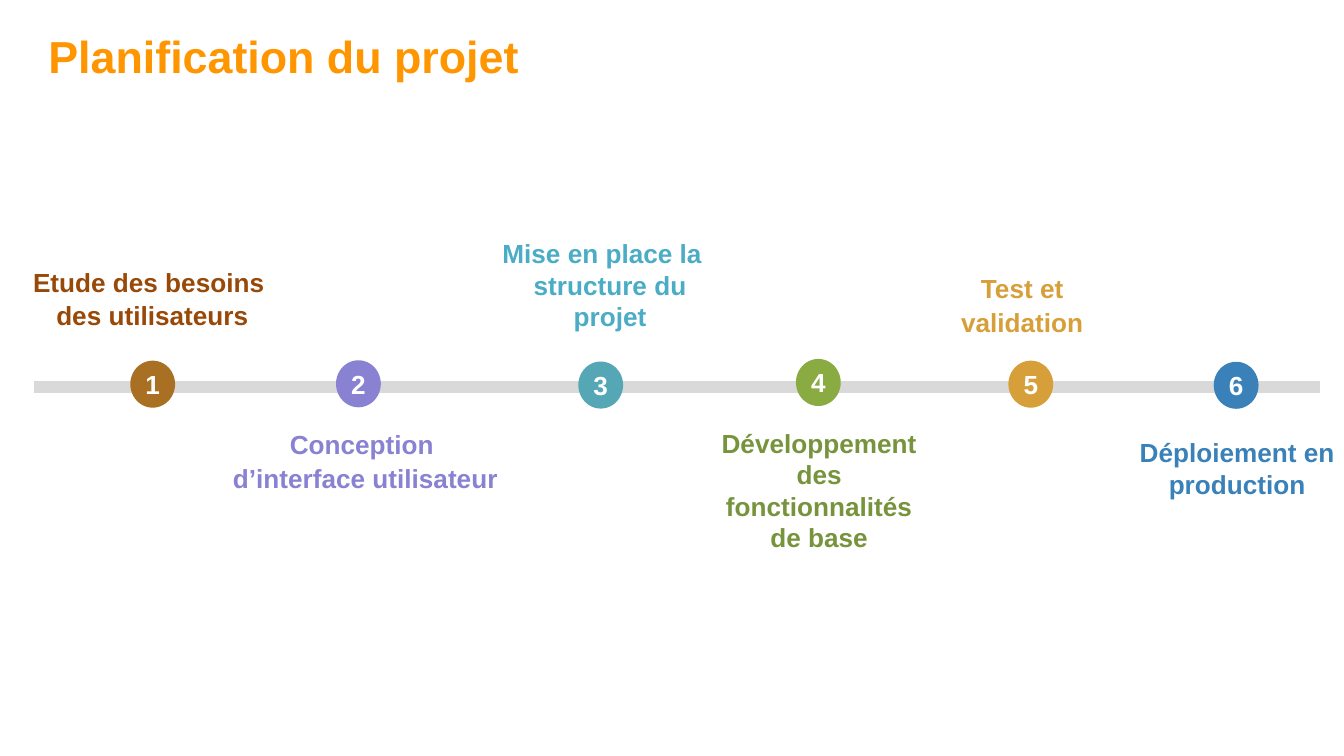
import pptx
import pptx.util
import pptx.dml.color
import pptx.enum.shapes
import pptx.enum.text
import pptx.oxml.ns
import lxml.etree

Pt = pptx.util.Pt
ALIGN = pptx.enum.text.PP_ALIGN
ANCHOR = pptx.enum.text.MSO_ANCHOR


def color(hexa):
    return pptx.dml.color.RGBColor.from_string(hexa)


def write(frame, text, *, size=14, tint="FFFFFF", align=ALIGN.CENTER,
          anchor=ANCHOR.TOP, inset=0.7, before=1, left=0.7, hang=0):
    """Fill a text frame with one paragraph per line of text."""
    frame.word_wrap = True
    frame.vertical_anchor = anchor
    frame.margin_left = frame.margin_right = frame.margin_bottom = 0
    frame.margin_top = Pt(inset)
    for i, line in enumerate(text.split("\n")):
        para = frame.paragraphs[0] if i == 0 else frame.add_paragraph()
        para.alignment = align
        para.space_before = Pt(before)
        props = para._p.get_or_add_pPr()
        props.set("marL", str(Pt(left)))
        props.set("indent", str(Pt(-hang)))
        run = para.add_run()
        run.text = line
        run.font.name = "Arial"
        run.font.size = Pt(size)
        run.font.bold = True
        run.font.color.rgb = color(tint)


class Board:
    def __init__(self, deck):
        self.slide = deck.slides.add_slide(deck.slide_layouts[5])
        self.shapes = self.slide.shapes

    def title(self, text, x, y, w, h):
        box = self.shapes.title
        box.left, box.top, box.width, box.height = map(Pt, (x, y, w, h))
        write(box.text_frame, text, size=24, tint="FF9600", align=ALIGN.LEFT)

    def axis(self, x1, x2, y):
        line = self.shapes.add_connector(
            pptx.enum.shapes.MSO_CONNECTOR.STRAIGHT, Pt(x1), Pt(y), Pt(x2), Pt(y))
        line.line.color.rgb = color("D9D9D9")
        line.line.width = Pt(6)
        lxml.etree.SubElement(line._element.spPr, pptx.oxml.ns.qn("a:effectLst"))

    def dot(self, text, x, y, fill):
        disc = self.shapes.add_shape(
            pptx.enum.shapes.MSO_SHAPE.OVAL, Pt(x), Pt(y), Pt(24), Pt(25.2))
        disc.shadow.inherit = False
        disc.fill.solid()
        disc.fill.fore_color.rgb = color(fill)
        disc.line.fill.background()
        write(disc.text_frame, text, anchor=ANCHOR.MIDDLE,
              inset=0, before=0, left=0)

    def label(self, text, x, y, w, h, tint, **style):
        box = self.shapes.add_textbox(Pt(x), Pt(y), Pt(w), Pt(h))
        write(box.text_frame, text, tint=tint, **style)


WIDE = {"left": 22.3, "hang": 20.9}
SLIM = {"left": 9.4, "hang": 8.6}

# dot place and fill, then label text, box, colour and indents
STEPS = [
    ((69.8, 193.2, "A97024"), "Etude des besoins \ndes utilisateurs",
     (15.8, 141.8, 130.3, 36), "984807", WIDE),
    ((180, 193, "8981D2"), "Conception \nd’interface utilisateur",
     (116.6, 229, 157, 36), "8981D2", WIDE),
    ((309.8, 193.7, "55A7B5"), "Mise en place la structure du projet",
     (260.6, 126.7, 123.1, 51.8), "4BACC6", SLIM),
    ((426.4, 192.3, "89AB42"), "Développement des fonctionnalités de base",
     (380.9, 228.2, 115.2, 69.1), "77933C", {}),
    ((540.2, 193.2, "D69F39"), "Test et\nvalidation",
     (491.8, 145.4, 110.9, 36), "D69F39", {}),
    ((650.2, 193.8, "3981B8"), "Déploiement en production",
     (607, 233.3, 110.9, 35.3), "3981B8", {}),
]


def main():
    deck = pptx.Presentation()
    deck.slide_width, deck.slide_height = Pt(720), Pt(405)
    board = Board(deck)
    board.title("Planification du projet", 25.2, 14.4, 253.4, 31)
    board.axis(18, 707, 207.4)
    for num, (spot, text, area, tint, style) in enumerate(STEPS, 1):
        board.dot(str(num), *spot)
        board.label(text, *area, tint, **style)
    deck.save("out.pptx")


if __name__ == "__main__":
    main()
